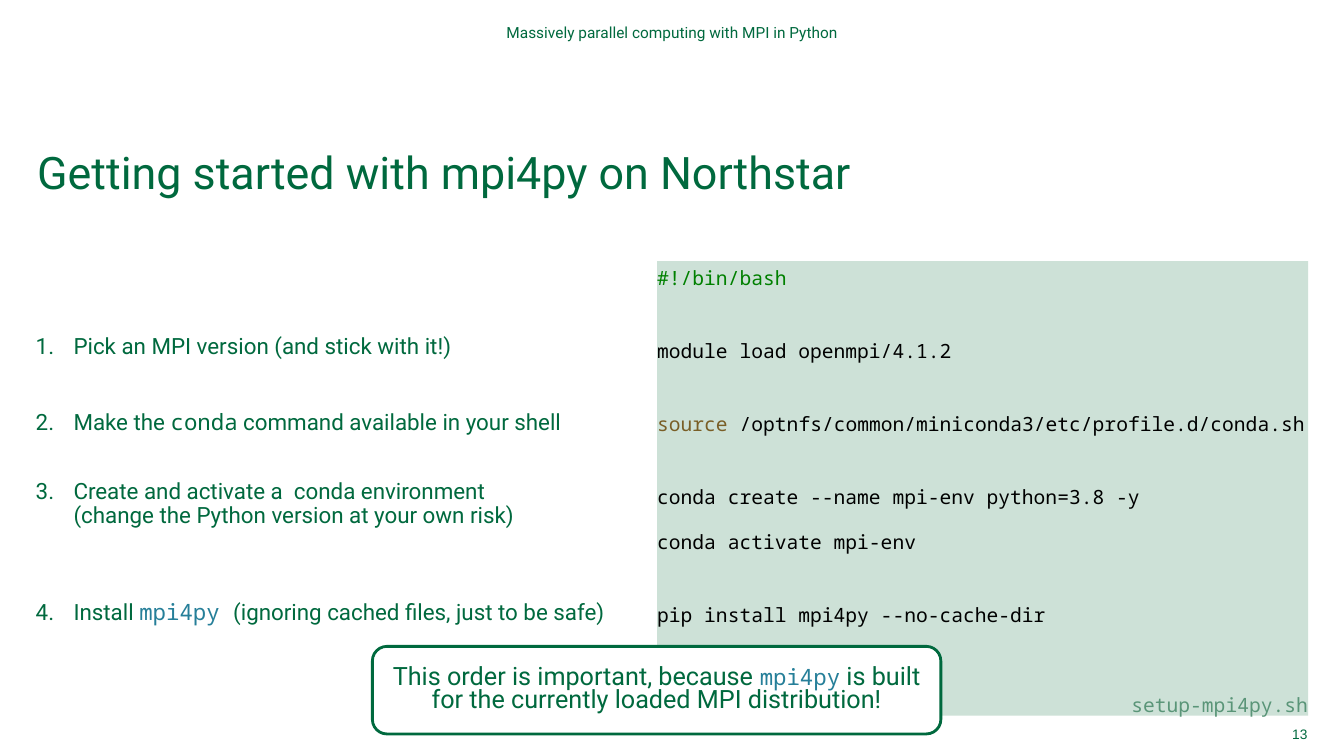
from dataclasses import dataclass

from lxml import etree
from pptx import Presentation
from pptx.dml.color import RGBColor
from pptx.enum import shapes, text
from pptx.oxml import ns
from pptx.util import Pt

HUES = {"green": "00693E", "white": "FFFFFF", "pale": "CDE1D7", "black": "000000",
        "blue": "267F99", "note": "008000", "brown": "795E26", "sage": "5A9578"}
SANS, MONO = "Roboto", "Noto Sans Mono"
LEFT, MID, RIGHT = text.PP_ALIGN.LEFT, text.PP_ALIGN.CENTER, text.PP_ALIGN.RIGHT
TOP, HALF = text.MSO_ANCHOR.TOP, text.MSO_ANCHOR.MIDDLE


@dataclass(frozen=True)
class Run:
    words: str
    size: float = 16
    font: str = SANS
    hue: str = "green"


@dataclass(frozen=True)
class Para:
    runs: tuple[Run, ...]
    before: float = 0
    after: float = 0
    align: text.PP_ALIGN = LEFT
    line: object = 1.0
    dent: float = 0


@dataclass(frozen=True)
class Box:
    left: float
    top: float
    width: float
    height: float


def color(hue: str) -> RGBColor:
    """Return the named colour."""
    return RGBColor.from_string(HUES[hue])


def place(shape, box: Box) -> None:
    """Move and size a shape."""
    shape.left, shape.top = Pt(box.left), Pt(box.top)
    shape.width, shape.height = Pt(box.width), Pt(box.height)


def number(para, dent: float) -> None:
    """Set the hanging indent and the number, or no bullet when there is none."""
    props = para._p.get_or_add_pPr()
    props.set("marL", str(Pt(dent)))
    props.set("indent", str(-Pt(dent)))
    if dent:
        tint = etree.SubElement(props, ns.qn("a:buClr"))
        etree.SubElement(tint, ns.qn("a:srgbClr"), val=HUES["green"])
        etree.SubElement(props, ns.qn("a:buFont"), typeface=SANS)
        etree.SubElement(props, ns.qn("a:buAutoNum"), type="arabicPeriod")
    else:
        etree.SubElement(props, ns.qn("a:buNone"))


def write(shape, paras: list[Para], anchor=TOP, side: float = 0, top: float = 0) -> None:
    """Fill a shape with paragraphs, run by run."""
    frame = shape.text_frame
    frame.word_wrap = True
    frame.auto_size = text.MSO_AUTO_SIZE.NONE
    frame.vertical_anchor = anchor
    frame.margin_left = frame.margin_right = Pt(side)
    frame.margin_top, frame.margin_bottom = Pt(top), 0
    for i, item in enumerate(paras):
        para = frame.add_paragraph() if i else frame.paragraphs[0]
        para.alignment, para.line_spacing = item.align, item.line
        para.space_before, para.space_after = Pt(item.before), Pt(item.after)
        number(para, item.dent)
        for part in item.runs:
            for j, line in enumerate(part.words.split("\n")):
                if j:
                    para.add_line_break()
                run = para.add_run()
                run.text = line
                run.font.size, run.font.name = Pt(part.size), part.font
                run.font.color.rgb = color(part.hue)


def step(gap: float, *runs: Run) -> Para:
    """Return a numbered step."""
    return Para(runs, gap, 6, line=Pt(16.8), dent=27)


def code(gap: float, *parts: tuple[str, str], align=LEFT) -> Para:
    """Return a line of code."""
    runs = tuple(Run(words, 14, MONO, hue) for words, hue in parts)
    return Para(runs, gap, 6, align, 1.2)


def main() -> None:
    """Build the slide."""
    deck = Presentation()
    deck.slide_width, deck.slide_height = Pt(960), Pt(540)
    slide = deck.slides.add_slide(deck.slide_layouts[3])
    title, steps, script = slide.placeholders

    place(title, Box(26.6, 109.4, 909.4, 72.7))
    write(title, [Para((Run("Getting started with mpi4py on Northstar", 32),), line=0.85)])

    place(steps, Box(25.5, 182.2, 443.5, 324.7))
    write(steps, [
        step(0, Run("Pick an MPI version (and stick with it!)")),
        step(31, Run("Make the "), Run("conda", font=MONO),
             Run(" command available in your shell")),
        step(26.8, Run("Create and activate a  conda environment\n"
                       "(change the Python version at your own risk)")),
        step(46.8, Run("Install "), Run("mpi4py ", font=MONO, hue="blue"),
             Run("(ignoring cached files, just to be safe)")),
    ], top=57.6)

    place(script, Box(469.4, 186.5, 465.1, 324.7))
    script.fill.solid()
    script.fill.fore_color.rgb = color("pale")
    write(script, [
        code(0, ("#!/bin/bash", "note")),
        code(26, ("module load openmpi/4.1.2", "black")),
        code(26, ("source", "brown"),
             (" /optnfs/common/miniconda3/etc/profile.d/conda.sh", "black")),
        code(26, ("conda create --name mpi-env python=3.8 -y", "black")),
        code(6, ("conda activate mpi-env", "black")),
        code(26, ("pip install mpi4py --no-cache-dir", "black")),
        code(38.2, ("setup-mpi4py.sh", "sage"), align=RIGHT),
    ])

    for box, run, align in (
        (Box(187.9, 14.4, 584.6, 17.3),
         Run("Massively parallel computing with MPI in Python", 11), MID),
        (Box(893, 515.5, 41, 17.3), Run("13", 9.8, "Arial"), RIGHT),
    ):
        label = slide.shapes.add_textbox(0, 0, 0, 0)
        place(label, box)
        write(label, [Para((run,), align=align)], HALF)

    call = slide.shapes.add_shape(shapes.MSO_SHAPE.ROUNDED_RECTANGLE, 0, 0, 0, 0)
    place(call, Box(266, 461.7, 406.1, 62.6))
    call.shadow.inherit = False
    call.fill.solid()
    call.fill.fore_color.rgb = color("white")
    call.line.color.rgb = color("green")
    call.line.width = Pt(2)
    write(call, [Para((
        Run("This order is important, because ", 18),
        Run("mpi4py", font=MONO, hue="blue"),
        Run(" is built for the currently loaded MPI distribution!", 18),
    ), align=MID, line=Pt(16.8))], HALF, 7.2)

    deck.save("out.pptx")


if __name__ == "__main__":
    main()
